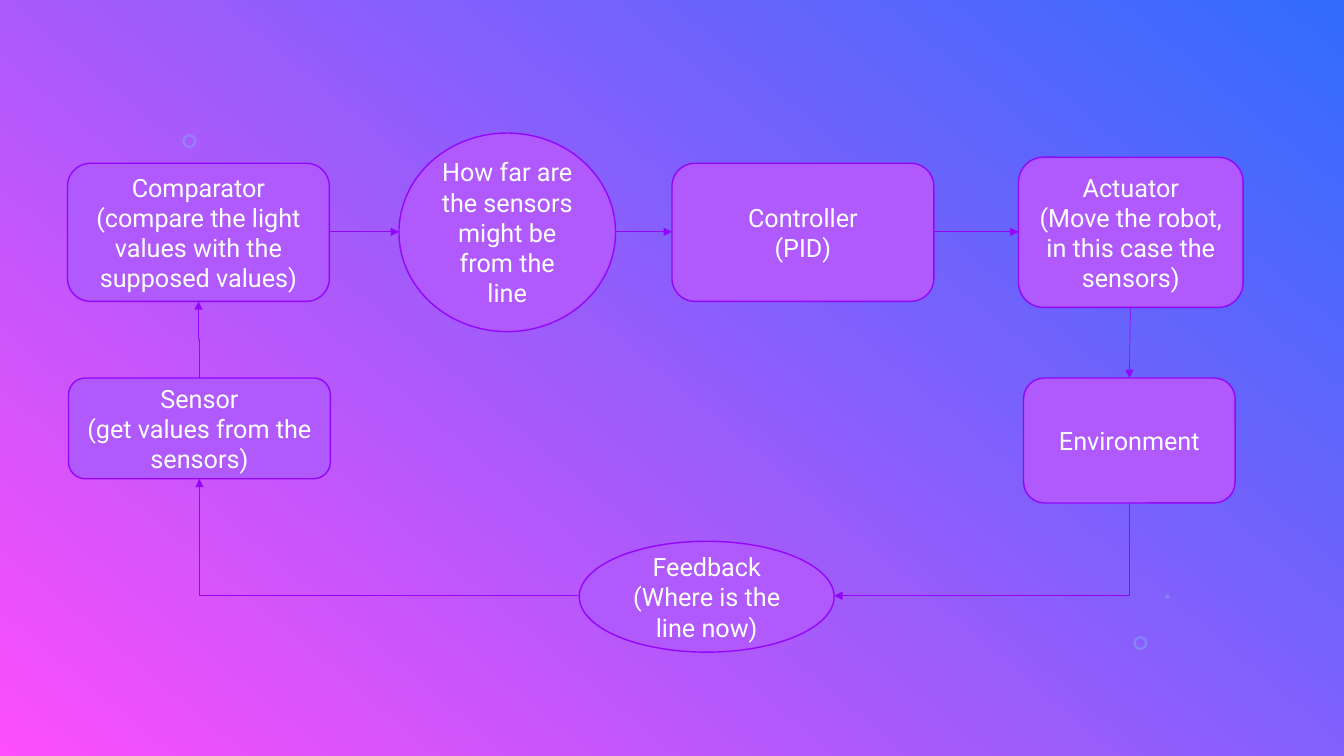
import pptx
import pptx.dml.color
import pptx.enum.shapes
import pptx.enum.text
import pptx.oxml
import pptx.oxml.ns
import pptx.util

Inches = pptx.util.Inches
Pt = pptx.util.Pt
Shape = pptx.enum.shapes.MSO_SHAPE
Connector = pptx.enum.shapes.MSO_CONNECTOR
qn = pptx.oxml.ns.qn


def color(value):
    return pptx.dml.color.RGBColor.from_string(value)


def add_element(parent, tag, **attributes):
    child = parent.makeelement(qn(tag), attributes)
    parent.append(child)
    return child


class Diagram:
    FONT = "Roboto"
    TEXT_SIZE = 18
    TEXT = "FFFFFF"
    FILL = "B059FD"
    LINE = "9405FC"
    ORNAMENT = "83A7FD"

    def __init__(self, page):
        self.page = page

    def background(self, first, last, angle):
        fill = self.page.background.fill
        fill.gradient()
        fill.gradient_angle = angle
        for stop, value in zip(fill.gradient_stops, (first, last)):
            stop.color.rgb = color(value)

    def shape(self, kind, left, top, width, height, fill):
        shape = self.page.shapes.add_shape(
            kind, Inches(left), Inches(top), Inches(width), Inches(height))
        shape.shadow.inherit = False
        shape.fill.solid()
        shape.fill.fore_color.rgb = color(fill)
        return shape

    def ornament(self, kind, left, top, width, height):
        shape = self.shape(kind, left, top, width, height, self.ORNAMENT)
        shape.line.fill.background()
        solid = shape.fill._xPr.find(qn("a:solidFill"))
        add_element(solid[0], "a:alpha", val="49000")
        return shape

    def node(self, kind, left, top, width, height, text):
        box = self.shape(kind, left, top, width, height, self.FILL)
        box.line.color.rgb = color(self.LINE)
        box.line.width = Pt(1)
        frame = box.text_frame
        frame.word_wrap = True
        frame.vertical_anchor = pptx.enum.text.MSO_ANCHOR.MIDDLE
        frame.text = text
        for para in frame.paragraphs:
            para.alignment = pptx.enum.text.PP_ALIGN.CENTER
            for span in para.runs:
                span.font.name = self.FONT
                span.font.size = Pt(self.TEXT_SIZE)
                span.font.color.rgb = color(self.TEXT)

    def arrow(self, start, end, kind=Connector.STRAIGHT):
        link = self.page.shapes.add_connector(
            kind, *(Inches(value) for value in (*start, *end)))
        link.line.color.rgb = color(self.LINE)
        link.line.width = Pt(0.5)
        add_element(link.line._get_or_add_ln(), "a:tailEnd", type="triangle")
        add_element(link._element.spPr, "a:effectLst")
        return link

    def bent_arrow(self, start, end, preset, turn, flip=False):
        # The frame keeps its centre; a quarter turn swaps its sides
        width, height = abs(end[0] - start[0]), abs(end[1] - start[1])
        if turn % 180:
            width, height = height, width
        left = (start[0] + end[0] - width) / 2
        top = (start[1] + end[1] - height) / 2
        link = self.arrow((left, top), (left + width, top + height), Connector.ELBOW)
        properties = link._element.spPr
        properties.find(qn("a:prstGeom")).set("prst", preset)
        frame = properties.find(qn("a:xfrm"))
        frame.set("rot", str(turn * 60000))
        if flip:
            frame.set("flipV", "1")


def main():
    deck = pptx.Presentation()
    deck.slide_width, deck.slide_height = Inches(13.34), Inches(7.5)
    diagram = Diagram(deck.slides.add_slide(deck.slide_layouts[6]))

    # Background and ornaments
    diagram.background("316CFC", "FC4EFB", 230)
    for left, top in ((1.81, 1.33), (11.25, 6.31)):
        ring = diagram.ornament(Shape.DONUT, left, top, 0.14, 0.14)
        ring.adjustments[0] = 0.17
    diagram.ornament(Shape.OVAL, 11.56, 5.9, 0.05, 0.04)

    # Control loop
    rounded, oval = Shape.ROUNDED_RECTANGLE, Shape.OVAL
    nodes = (
        (rounded, 0.67, 1.62, 2.6, 1.37,
         "Comparator\n(compare the light values with the supposed values)"),
        (oval, 3.96, 1.32, 2.15, 1.97,
         "How far are the sensors might be from the line"),
        (rounded, 6.67, 1.62, 2.6, 1.37, "Controller\n(PID)"),
        (rounded, 10.11, 1.56, 2.23, 1.49,
         "Actuator\n(Move the robot, in this case the sensors)"),
        (rounded, 0.68, 3.75, 2.6, 1, "Sensor\n(get values from the sensors)"),
        (rounded, 10.16, 3.75, 2.1, 1.24, "Environment"),
        (oval, 5.75, 5.37, 2.53, 1.1, "Feedback\n(Where is the line now)"),
    )
    for node in nodes:
        diagram.node(*node)

    # Straight arrows
    row = 2.3
    for start, end in ((3.27, 3.96), (6.11, 6.67), (9.27, 10.11)):
        diagram.arrow((start, row), (end, row))
    diagram.arrow((11.22, 3.05), (11.21, 3.75))

    # Feedback path
    diagram.bent_arrow((11.21, 4.99), (8.28, 5.91), "bentConnector2", 90)
    diagram.bent_arrow((5.75, 5.91), (1.98, 4.75), "bentConnector2", 180)
    diagram.bent_arrow((1.98, 3.75), (1.97, 2.99), "bentConnector3", 270, flip=True)

    deck.save("out.pptx")


if __name__ == "__main__":
    main()
